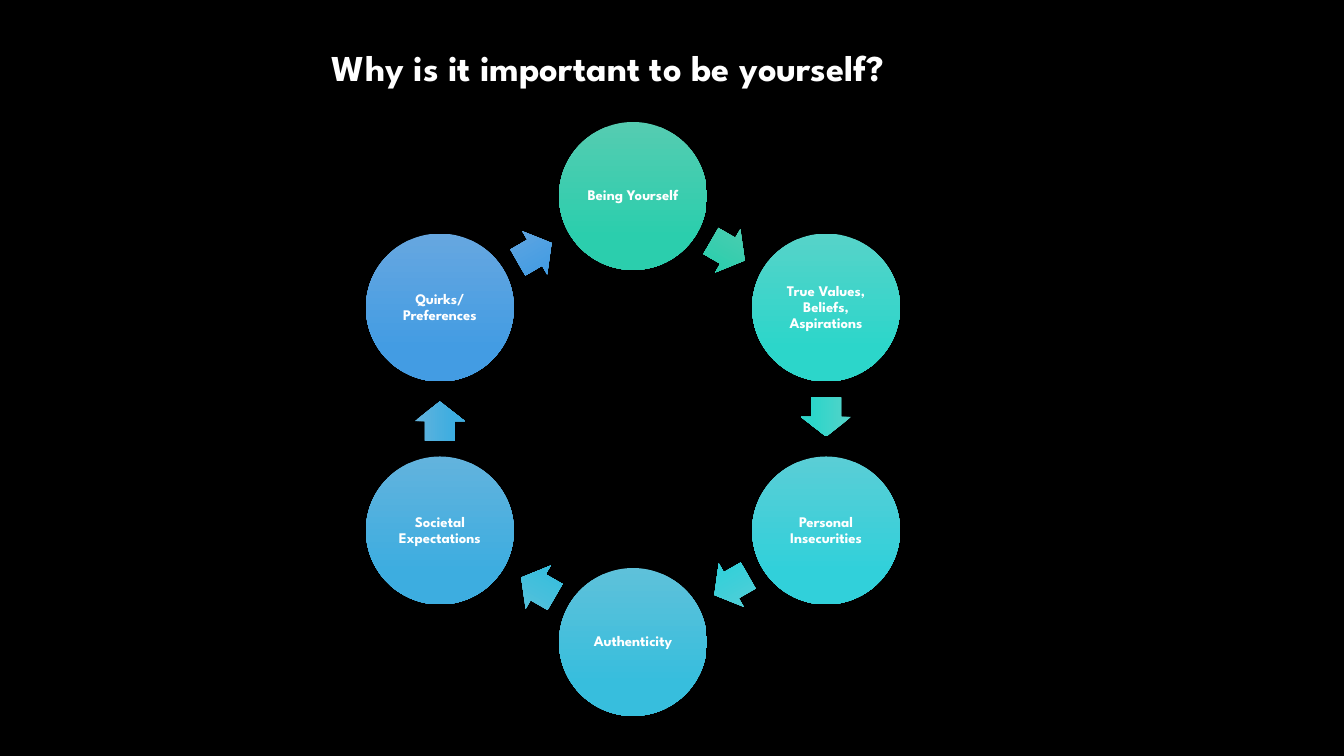
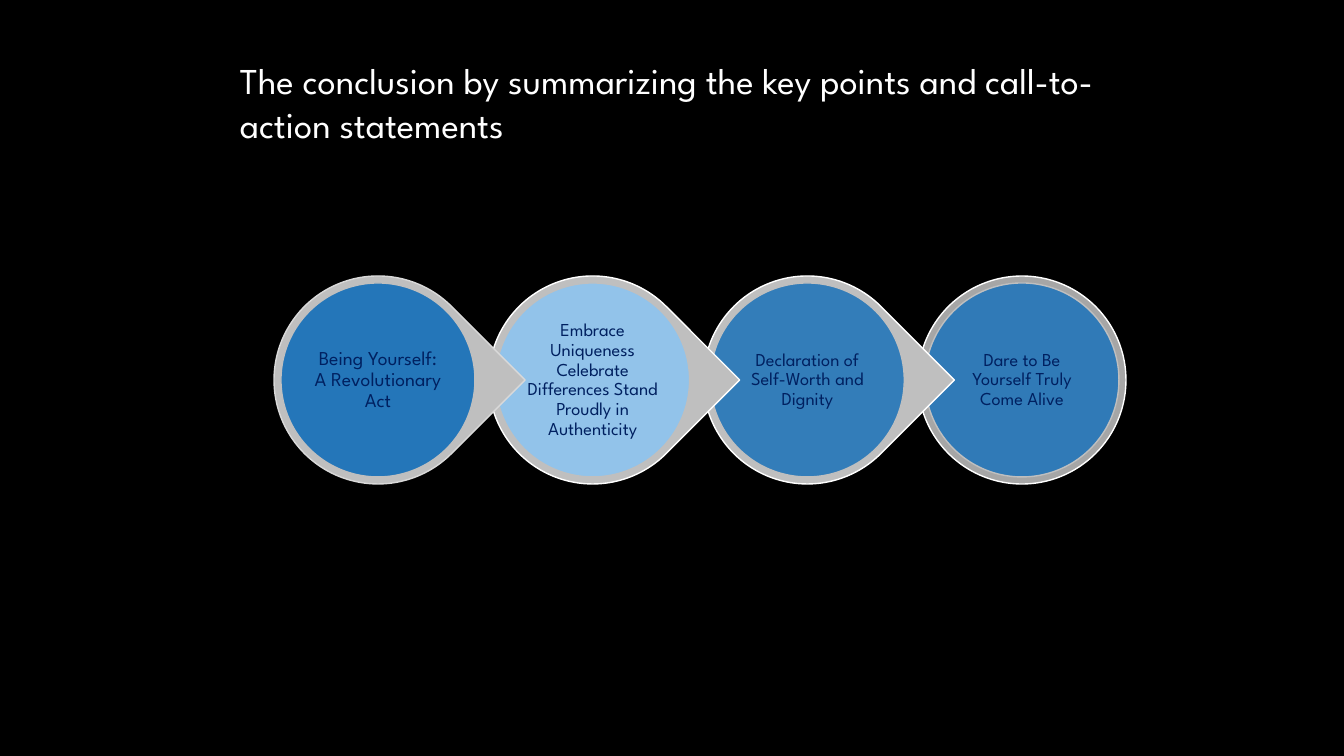
from dataclasses import dataclass
from math import cos, radians, sin

from lxml.etree import SubElement
from pptx import Presentation
from pptx.dml.color import RGBColor
from pptx.enum.shapes import MSO_SHAPE
from pptx.enum.text import MSO_ANCHOR, PP_ALIGN
from pptx.oxml.ns import qn
from pptx.util import Emu, Inches, Pt

SLIDE_W, SLIDE_H = 1344, 756
SCALE = Inches(7.5) / SLIDE_H


@dataclass(frozen=True)
class Theme:
    font: str = "League Spartan"
    background: str = "000000"
    light: str = "FFFFFF"
    navy: str = "002060"
    blue: str = "2476B9"
    pale_blue: str = "92C3EA"
    silver: str = "BFBFBF"
    pale_silver: str = "D9D9D9"
    grey: str = "A6A6A6"
    title_size: int = 26
    cycle_size: float = 10.5
    flow_size: int = 13
    flow_lead_size: int = 14


T = Theme()

# Label, gradient top, gradient bottom; clockwise from the top
CYCLE = [
    ("Being Yourself", "55CCB1", "2BCEAD"),
    ("True Values, Beliefs, Aspirations", "56D3C9", "2CD6CA"),
    ("Personal Insecurities", "5ACED6", "31D0DA"),
    ("Authenticity", "5EC1DA", "37BEDD"),
    ("Societal Expectations", "62B3DD", "3DADE0"),
    ("Quirks/Preferences", "66A7E0", "439CE3"),
]

# Label, type size, disc colour, disc opacity, ring colour, ring outline
FLOW = [
    ("Being Yourself: A Revolutionary Act",
     T.flow_lead_size, T.blue, 100, T.silver, T.pale_silver),
    ("Embrace Uniqueness Celebrate Differences Stand Proudly in Authenticity",
     T.flow_size, T.pale_blue, 100, T.silver, T.light),
    ("Declaration of Self-Worth and Dignity",
     T.flow_size, T.blue, 90, T.silver, T.light),
    ("Dare to Be Yourself Truly Come Alive",
     T.flow_size, T.blue, 90, T.grey, T.light),
]


def px(value):
    return Emu(round(value * SCALE))


def rgb(value):
    return RGBColor.from_string(value)


def write_text(sp, text, *, size, color, bold=False, align=PP_ALIGN.LEFT,
               anchor=MSO_ANCHOR.TOP, inset=None, spacing=None):
    tf = sp.text_frame
    tf.word_wrap = True
    tf.vertical_anchor = anchor
    if inset is not None:
        tf.margin_left = tf.margin_right = px(inset)
        tf.margin_top = tf.margin_bottom = px(inset)
    p = tf.paragraphs[0]
    p.alignment = align
    p.line_spacing = spacing
    r = p.add_run()
    r.text = text
    r.font.name = T.font
    r.font.size = Pt(size)
    r.font.bold = bold
    r.font.color.rgb = rgb(color)


def write_label(sp, text, **format):
    write_text(sp, text, align=PP_ALIGN.CENTER, anchor=MSO_ANCHOR.MIDDLE,
               inset=2, spacing=0.9, **format)


def add_centred(s, kind, cx, cy, w, h, *, fill, line=None, opacity=100):
    """Place a shape by its centre; a pair of colours makes a gradient."""
    sp = s.shapes.add_shape(kind, px(cx - w / 2), px(cy - h / 2), px(w), px(h))
    sp.shadow.inherit = False
    if isinstance(fill, tuple):
        sp.fill.gradient()
        sp.fill.gradient_angle = 270
        for stop, color, position in zip(sp.fill.gradient_stops, fill, (0, 0.78)):
            stop.color.rgb = rgb(color)
            stop.position = position
    else:
        sp.fill.solid()
        sp.fill.fore_color.rgb = rgb(fill)
    if opacity < 100:
        color = next(sp.fill._xPr.iter(qn("a:srgbClr")))
        SubElement(color, qn("a:alpha"), val=str(opacity * 1000))
    if line:
        sp.line.color.rgb = rgb(line)
        sp.line.width = Pt(1)
    else:
        sp.line.fill.background()
    return sp


def add_title(s, text, box, bold=False):
    sp = s.shapes.add_textbox(*map(px, box))
    write_text(sp, text, size=T.title_size, color=T.light, bold=bold)


def add_cycle(s, box, disc=148, arrow_w=39, arrow_h=50, setback=2):
    """Discs on a ring, each followed by an arrow to the next one."""
    x, y, w, h = box
    cx, cy = x + w / 2, y + h / 2
    ring = (h - disc) / 2
    step = 360 / len(CYCLE)
    chord_distance = ring * cos(radians(step / 2))
    for i, (label, *colors) in enumerate(CYCLE):
        # Disc
        a = radians(i * step)
        sp = add_centred(s, MSO_SHAPE.OVAL, cx + ring * sin(a), cy - ring * cos(a),
                         disc, disc, fill=tuple(colors))
        write_label(sp, label, size=T.cycle_size, color=T.light, bold=True)
        # Arrow, a little before the middle of the gap
        turn = (i + 0.5) * step
        a = radians(turn)
        sp = add_centred(s, MSO_SHAPE.RIGHT_ARROW,
                         cx + chord_distance * sin(a) - setback * cos(a),
                         cy - chord_distance * cos(a) - setback * sin(a),
                         arrow_w, arrow_h, fill=tuple(colors))
        sp.adjustments[0] = 0.6
        sp.adjustments[1] = 0.5
        sp.rotation = turn


def add_flow(s, box, rim=7):
    """Discs in a row; each drop points over the disc to its right."""
    x, y, w, ring = box
    last = len(FLOW) - 1
    step = (w - ring) / last
    disc = ring - 2 * rim
    cy = y + ring / 2
    for i, (label, size, fill, opacity, rim_fill, rim_line) in reversed(
            list(enumerate(FLOW))):
        cx = x + ring / 2 + i * step
        # Ring or drop
        kind = MSO_SHAPE.OVAL if i == last else MSO_SHAPE.TEAR
        sp = add_centred(s, kind, cx, cy, ring, ring, fill=rim_fill, line=rim_line)
        if i < last:
            sp.rotation = 45
        # Disc
        sp = add_centred(s, MSO_SHAPE.OVAL, cx, cy, disc, disc,
                         fill=fill, line=T.silver, opacity=opacity)
        write_label(sp, label, size=size, color=T.navy)


def add_slide(prs):
    s = prs.slides.add_slide(prs.slide_layouts[6])
    s.background.fill.solid()
    s.background.fill.fore_color.rgb = rgb(T.background)
    return s


def build_cycle_slide(prs):
    s = add_slide(prs)
    add_cycle(s, (366, 122, 534, 594))
    add_title(s, "Why is it important to be yourself?", (322, 40, 672, 54), bold=True)


def build_conclusion_slide(prs):
    s = add_slide(prs)
    add_title(s, "The conclusion by summarizing the key points and "
                 "call-to-action statements", (230, 53, 908, 99))
    add_flow(s, (274, 276, 852, 208))


def main():
    prs = Presentation()
    prs.slide_width, prs.slide_height = px(SLIDE_W), px(SLIDE_H)
    build_cycle_slide(prs)
    build_conclusion_slide(prs)
    prs.save("out.pptx")


if __name__ == "__main__":
    main()
